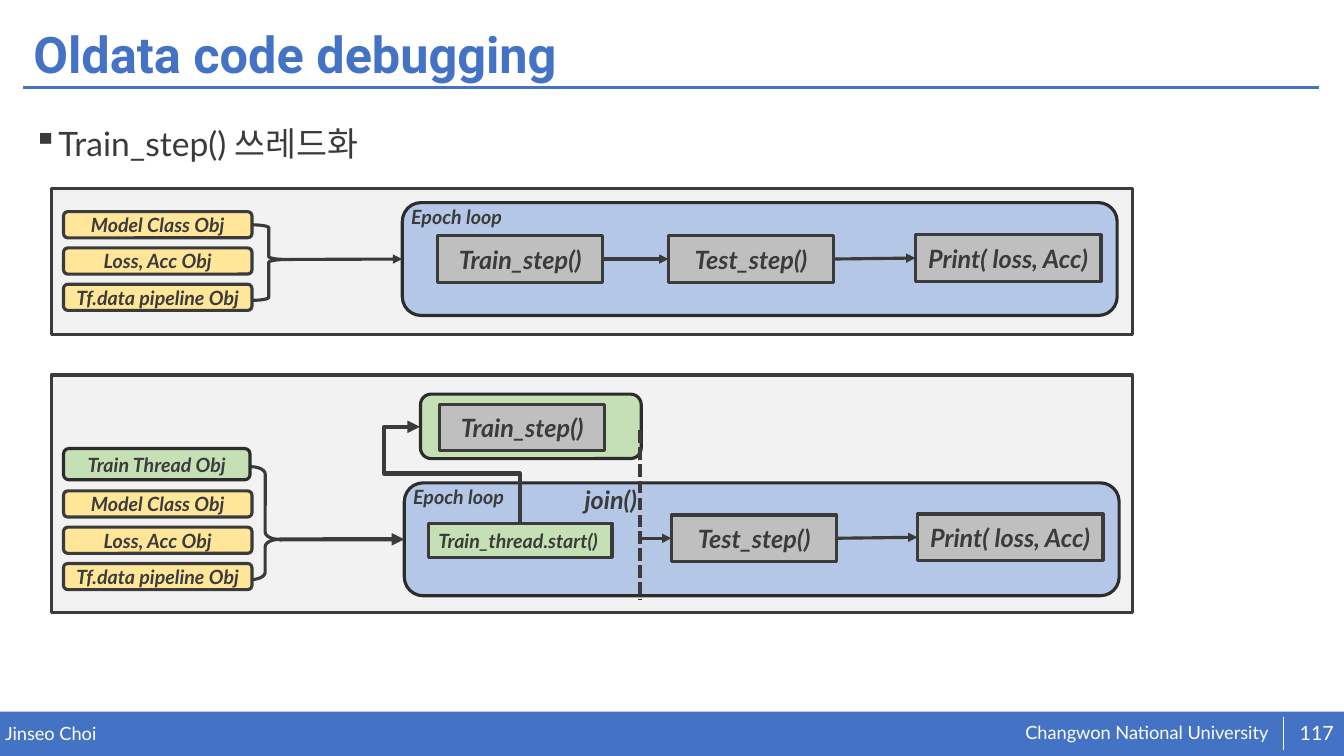
"""Build a slide comparing a sequential training loop with a threaded one."""
import pptx
import pptx.util
import pptx.dml.color
import pptx.enum.dml
import pptx.enum.shapes
import pptx.enum.text
import pptx.oxml.ns
from lxml import etree

Inches, Pt = pptx.util.Inches, pptx.util.Pt
SHAPES = pptx.enum.shapes.MSO_SHAPE
CONNECTORS = pptx.enum.shapes.MSO_CONNECTOR
ALIGN = pptx.enum.text.PP_ALIGN
ANCHOR = pptx.enum.text.MSO_ANCHOR

BLUE, WHITE, INK, OUTLINE = "4472C4", "FFFFFF", "3B3B3B", "2C2C2C"
PANEL, LOOP, STEP, OBJECT, THREAD = "F2F2F2", "B4C7E7", "BFBFBF", "FFE699", "C5E0B4"
TOP, LEFT, BOTTOM, RIGHT = range(4)

TITLE = "Oldata code debugging"
BULLET = "Train_step() 쓰레드화"
FOOTER = [
    ("Changwon National University", (10.17, 7.16, 2.67, 0.23), 13, ALIGN.LEFT),
    ("Jinseo Choi", (0.05, 7.17, 6.55, 0.22), 13, ALIGN.LEFT),
    ("117", (12.82, 7.07, 0.48, 0.4), 14, ALIGN.CENTER),
]
OBJECTS = ["Model Class Obj", "Loss, Acc Obj", "Tf.data pipeline Obj"]
OBJECT_PITCH = 0.36
STEP_SIZE = (1.64, 0.46)
PRINT_SIZE = (1.84, 0.46)
SEQUENTIAL = {
    "panel": (0.51, 1.87, 10.72, 1.45), "loop": (3.99, 2.01, 7.09, 1.12),
    "loop_label": (3.98, 1.98, 1.97, 0.34), "objects_top": 2.1,
    "brace": (2.49, 2.23, 0.35, 0.75), "brace_adjust": (0.083, 0.459),
    "arrow_width": 2.25, "test": (6.63, 2.34), "print": (9.08, 2.33),
}
THREADED = {
    "panel": (0.51, 3.72, 10.72, 2.36), "loop": (4.01, 4.79, 7.09, 1.12),
    "loop_label": (4, 4.76, 1.97, 0.34), "objects_top": 4.87,
    "brace": (2.49, 4.63, 0.28, 1.12), "brace_adjust": (0.258, 0.644),
    "arrow_width": 3, "test": (6.66, 5.11), "print": (9.1, 5.1),
}


def color(value):
    return pptx.dml.color.RGBColor.from_string(value)


def add_run(paragraph, text, size, fill, font="Lato", bold=False, italic=False):
    run = paragraph.add_run()
    run.text = text
    run.font.name, run.font.size = font, Pt(size)
    run.font.bold, run.font.italic = bold, italic
    run.font.color.rgb = color(fill)


def add_text(box, text, size, fill=INK, align=ALIGN.LEFT, inset=None, strong=False):
    shape = slide.shapes.add_textbox(*map(Inches, box))
    frame = shape.text_frame
    frame.word_wrap = True
    if inset is not None:
        frame.margin_left = frame.margin_right = Inches(inset)
        frame.margin_top = frame.margin_bottom = Inches(inset)
    paragraph = frame.paragraphs[0]
    paragraph.alignment = align
    add_run(paragraph, text, size, fill, bold=strong, italic=strong)
    return shape


def add_box(box, fill, text="", size=18, kind=SHAPES.RECTANGLE, line=INK, align=ALIGN.CENTER):
    shape = slide.shapes.add_shape(kind, *map(Inches, box))
    shape.shadow.inherit = False
    if fill:
        shape.fill.solid()
        shape.fill.fore_color.rgb = color(fill)
    else:
        shape.fill.background()
    if line:
        shape.line.color.rgb = color(line)
        shape.line.width = Pt(2.25)
    else:
        shape.line.fill.background()
    if text:
        shape.text_frame.word_wrap = True
        paragraph = shape.text_frame.paragraphs[0]
        paragraph.alignment = align
        add_run(paragraph, text, size, INK, bold=True, italic=True)
    return shape


def add_line(start, end, width=2.25, fill=INK, arrow=False, kind=CONNECTORS.STRAIGHT):
    line = slide.shapes.add_connector(kind, *map(Inches, (*start, *end)))
    line.line.color.rgb = color(fill)
    line.line.width = Pt(width)
    if arrow:
        outline = line.line._get_or_add_ln()
        etree.SubElement(outline, pptx.oxml.ns.qn("a:tailEnd"), type="triangle")
    etree.SubElement(line._element.spPr, pptx.oxml.ns.qn("a:effectLst"))
    return line


def join_steps(first, second):
    arrow = add_line((0, 0), (1, 1), arrow=True)
    arrow.begin_connect(first, RIGHT)
    arrow.end_connect(second, LEFT)


def add_flow(flow):
    add_box(flow["panel"], PANEL)
    loop = add_box(flow["loop"], LOOP, kind=SHAPES.ROUNDED_RECTANGLE, line=OUTLINE)
    add_text(flow["loop_label"], "Epoch loop", 14, strong=True)
    for index, name in enumerate(OBJECTS):
        top = flow["objects_top"] + index * OBJECT_PITCH
        add_box((0.63, top, 1.87, 0.26), OBJECT, name, 14, SHAPES.ROUNDED_RECTANGLE)
    left, top, width, height = flow["brace"]
    brace = add_box(flow["brace"], None, kind=SHAPES.RIGHT_BRACE)
    for index, value in enumerate(flow["brace_adjust"]):
        brace.adjustments[index] = value
    tip = (left + width, top + height * flow["brace_adjust"][1])
    add_line(tip, (flow["loop"][0], tip[1]), flow["arrow_width"],
             arrow=True).end_connect(loop, LEFT)
    test = add_box((*flow["test"], *STEP_SIZE), STEP, "Test_step()")
    result = add_box((*flow["print"], *PRINT_SIZE), STEP, "Print( loss, Acc)")
    join_steps(test, result)
    return test


def add_frame():
    add_box((0, 7.06, 13.33, 0.44), BLUE, line=None)
    for text, box, size, align in FOOTER:
        shape = add_text(box, text, size, WHITE, align, inset=0)
        if align == ALIGN.CENTER:
            shape.text_frame.vertical_anchor = ANCHOR.MIDDLE
    add_line((0.23, 0.87), (13.08, 0.87), 2, BLUE)
    add_line((12.73, 7.11), (12.73, 7.44), 0.5, WHITE)
    title = slide.shapes.title
    title.left, title.top, title.width, title.height = map(Inches, (0.23, 0.18, 12.86, 0.77))
    title.text_frame.vertical_anchor = ANCHOR.MIDDLE
    paragraph = title.text_frame.paragraphs[0]
    paragraph.alignment, paragraph.line_spacing = ALIGN.LEFT, 0.9
    add_run(paragraph, TITLE, 36, BLUE, "Roboto", bold=True)
    body = add_text((0.23, 1.01, 12.86, 0.7), BULLET, 24)
    paragraph = body.text_frame.paragraphs[0]
    paragraph.line_spacing = 1.4
    properties = paragraph._p.get_or_add_pPr()
    properties.set("marL", str(Inches(0.25)))
    properties.set("indent", str(-Inches(0.25)))
    etree.SubElement(properties, pptx.oxml.ns.qn("a:buChar"), char="▪")


def add_thread():
    add_box((0.63, 4.45, 1.85, 0.31), THREAD, "Train Thread Obj", 14,
            SHAPES.ROUNDED_RECTANGLE, OUTLINE)
    add_box((4.17, 3.91, 2.19, 0.64), THREAD, kind=SHAPES.ROUNDED_RECTANGLE, line=OUTLINE)
    add_box((4.36, 4.01, *STEP_SIZE), STEP, "Train_step()")
    add_line((6.35, 4.27), (6.35, 5.94), 3).line.dash_style = pptx.enum.dml.MSO_LINE.SQUARE_DOT
    add_text((5.7, 4.76, 2.33, 0.4), "join()", 18, strong=True)
    add_box((4.25, 5.19, 1.82, 0.34), THREAD, "Train_thread.start()", 14, align=ALIGN.LEFT)
    launch = add_line((4.18, 5.21), (5.14, 4.22), 3, arrow=True, kind=CONNECTORS.ELBOW)
    launch._element.spPr.find(pptx.oxml.ns.qn("a:xfrm")).set("rot", str(270 * 60000))
    geometry = launch._element.spPr.find(pptx.oxml.ns.qn("a:prstGeom"))
    geometry.set("prst", "bentConnector4")
    guides = geometry.find(pptx.oxml.ns.qn("a:avLst"))
    for name, value in (("adj1", 51700), ("adj2", 135800)):
        etree.SubElement(guides, pptx.oxml.ns.qn("a:gd"), name=name, fmla=f"val {value}")


presentation = pptx.Presentation()
presentation.slide_width, presentation.slide_height = Inches(13.33), Inches(7.5)
slide = presentation.slides.add_slide(presentation.slide_layouts[5])
add_frame()
sequential_test = add_flow(SEQUENTIAL)
train = add_box((4.34, 2.34, *STEP_SIZE), STEP, "Train_step()")
join_steps(train, sequential_test)
threaded_test = add_flow(THREADED)
add_line((6.36, 5.34), (6.66, 5.34), arrow=True).end_connect(threaded_test, LEFT)
add_thread()
presentation.save("out.pptx")
